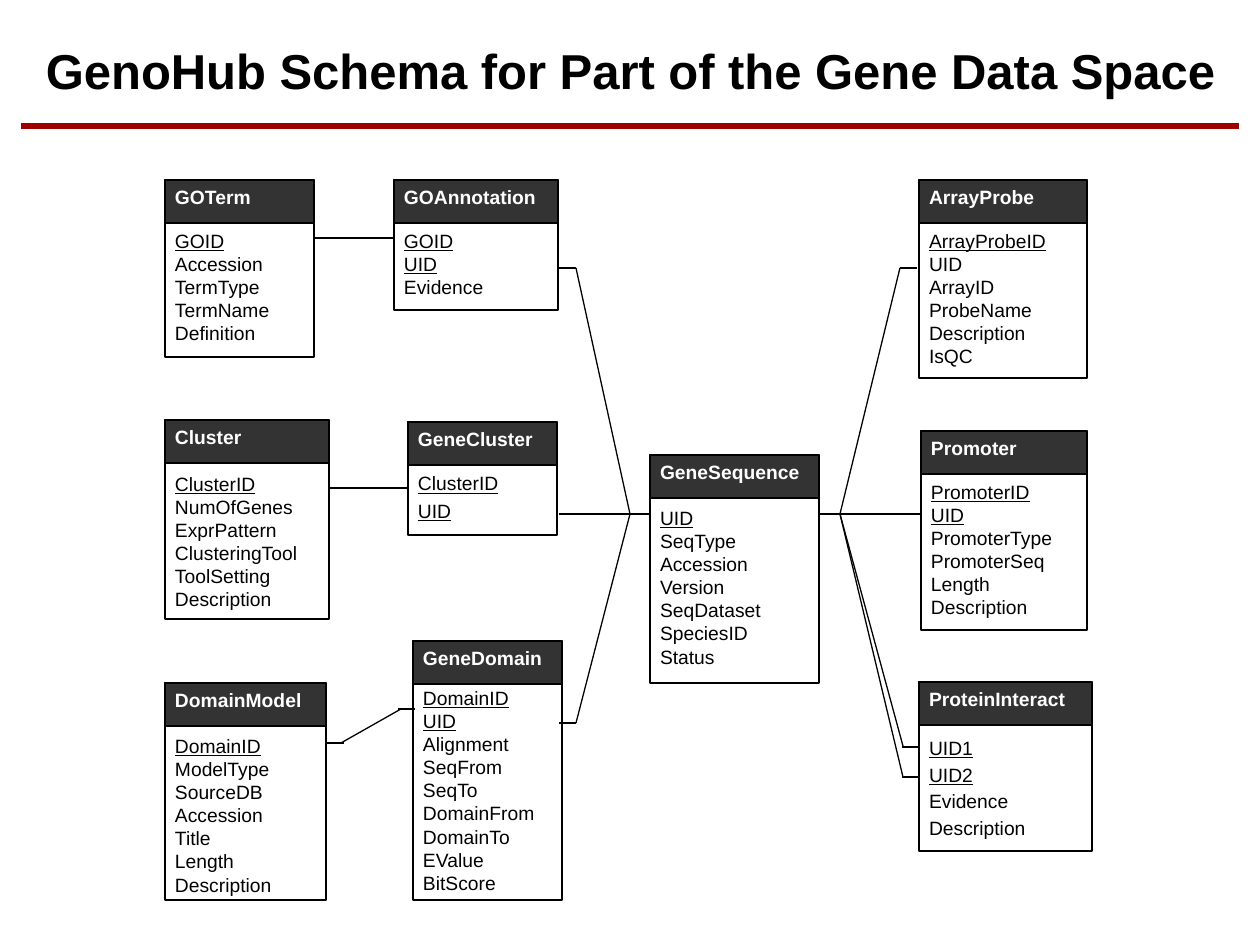
import pptx
import pptx.dml.color
import pptx.enum.shapes
import pptx.enum.text
import pptx.oxml.ns
import pptx.util
import lxml.etree

PX = 914400 / 126
BLACK, WHITE, CHARCOAL, RED = "000000", "FFFFFF", "333333", "9E0000"
HEADER_HEIGHT = 43

# name, (left, top, width, height), gap below name, line spacing, key count, attributes
ENTITIES = [
    ("GOTerm", (165, 180, 149, 177), 21, 1, 1,
     "GOID Accession TermType TermName Definition"),
    ("GOAnnotation", (394, 180, 164, 130), 21, 1, 2, "GOID UID Evidence"),
    ("ArrayProbe", (919, 180, 168, 198), 21, 1, 1,
     "ArrayProbeID UID ArrayID ProbeName Description IsQC"),
    ("Cluster", (165, 420, 164, 199), 24, 1, 1,
     "ClusterID NumOfGenes ExprPattern ClusteringTool ToolSetting Description"),
    ("GeneCluster", (408, 422, 149, 113), 17, 1.2, 2, "ClusterID UID"),
    ("GeneSequence", (650, 455, 169, 228), 23, 1, 1,
     "UID SeqType Accession Version SeqDataset SpeciesID Status"),
    ("Promoter", (921, 431, 166, 199), 21, 1, 2,
     "PromoterID UID PromoterType PromoterSeq Length Description"),
    ("DomainModel", (165, 683, 161, 217), 23, 1, 1,
     "DomainID ModelType SourceDB Accession Title Length Description"),
    ("GeneDomain", (413, 641, 149, 259), 17, 1, 2,
     "DomainID UID Alignment SeqFrom SeqTo DomainFrom DomainTo EValue BitScore"),
    ("ProteinInteract", (919, 682, 173, 169), 23, 1.15, 2,
     "UID1 UID2 Evidence Description"),
]
LEFT_HUB, RIGHT_HUB = (630, 514), (840, 514)
STUBS = [
    ((314, 238), (331, 238)), ((377, 238), (394, 238)),
    ((328, 488), (345, 488)), ((392, 488), (408, 488)),
    ((326, 743), (344, 743)), ((398, 709), (415, 709)),
    ((559, 268), (576, 268)), ((559, 514), (576, 514)), ((559, 723), (576, 723)),
    (LEFT_HUB, (650, 514)), ((819, 514), RIGHT_HUB),
    ((900, 268), (917, 268)), ((903, 514), (920, 514)),
    ((902, 747), (920, 747)), ((902, 777), (920, 777)),
]
LINKS = [
    ((326, 238), (386, 238)), ((341, 488), (401, 488)), ((341, 743), (401, 709)),
    ((576, 268), LEFT_HUB), ((567, 514), (640, 514)), ((576, 723), LEFT_HUB),
    (RIGHT_HUB, (900, 268)), (RIGHT_HUB, (914, 514)),
    (RIGHT_HUB, (903, 746)), (RIGHT_HUB, (903, 777)),
]


def px(length):
    """Turn px into EMU."""
    return pptx.util.Emu(round(length * PX))


def colour(value):
    """Turn a hex string into a colour."""
    return pptx.dml.color.RGBColor.from_string(value)


def write(paragraph, text, size=11, color=BLACK, bold=False, underline=False,
          align=pptx.enum.text.PP_ALIGN.LEFT, spacing=1, after=0):
    """Put formatted text into a paragraph."""
    paragraph.alignment = align
    paragraph.line_spacing = spacing
    paragraph.space_before = px(0)
    paragraph.space_after = px(after)
    run = paragraph.add_run()
    run.text = text
    run.font.name = "Arial"
    run.font.size = pptx.util.Pt(size)
    run.font.bold = bold
    run.font.underline = underline
    run.font.color.rgb = colour(color)


def add_title(slide, text):
    """Place and fill the title placeholder."""
    title = slide.shapes.title
    title.left, title.top, title.width, title.height = map(px, (32, 34, 1197, 72))
    frame = title.text_frame
    frame.vertical_anchor = pptx.enum.text.MSO_ANCHOR.MIDDLE
    write(frame.paragraphs[0], text, size=28, bold=True,
          align=pptx.enum.text.PP_ALIGN.CENTER)


def add_box(slide, bounds, weight, fill=None):
    """Draw a black-edged rectangle, hollow unless a fill is given."""
    box = slide.shapes.add_shape(pptx.enum.shapes.MSO_SHAPE.RECTANGLE, *map(px, bounds))
    box.shadow.inherit = False
    if fill:
        box.fill.solid()
        box.fill.fore_color.rgb = colour(fill)
    else:
        box.fill.background()
    box.line.color.rgb = colour(BLACK)
    box.line.width = pptx.util.Pt(weight)
    return box


def add_entity(slide, name, bounds, gap, spacing, key_count, attributes):
    """Draw a schema table with its name and attributes, keys underlined."""
    left, top, width, _ = bounds
    add_box(slide, (left, top, width, HEADER_HEIGHT), 1, CHARCOAL)
    frame = add_box(slide, bounds, 1.5).text_frame
    frame.word_wrap = True
    frame.vertical_anchor = pptx.enum.text.MSO_ANCHOR.TOP
    frame.margin_left = frame.margin_right = px(10)
    frame.margin_top = frame.margin_bottom = px(5)
    write(frame.paragraphs[0], name, color=WHITE, bold=True, after=gap)
    for index, attribute in enumerate(attributes.split()):
        write(frame.add_paragraph(), attribute, underline=index < key_count,
              spacing=spacing)


def add_line(slide, start, end, weight, color=BLACK):
    """Draw a straight line without shadow."""
    line = slide.shapes.add_connector(
        pptx.enum.shapes.MSO_CONNECTOR.STRAIGHT, *map(px, start + end))
    line.line.color.rgb = colour(color)
    line.line.width = pptx.util.Pt(weight)
    lxml.etree.SubElement(line._element.spPr, pptx.oxml.ns.qn("a:effectLst"))


def main():
    """Build the schema slide."""
    deck = pptx.Presentation()
    deck.slide_width, deck.slide_height = px(1260), px(945)
    slide = deck.slides.add_slide(deck.slide_layouts[5])
    add_title(slide, "GenoHub Schema for Part of the Gene Data Space")
    add_line(slide, (21, 126), (1239, 126), 3, RED)
    for entity in ENTITIES:
        add_entity(slide, *entity)
    for weight, lines in ((1.5, STUBS), (0.75, LINKS)):
        for start, end in lines:
            add_line(slide, start, end, weight)
    deck.save("out.pptx")


if __name__ == "__main__":
    main()
